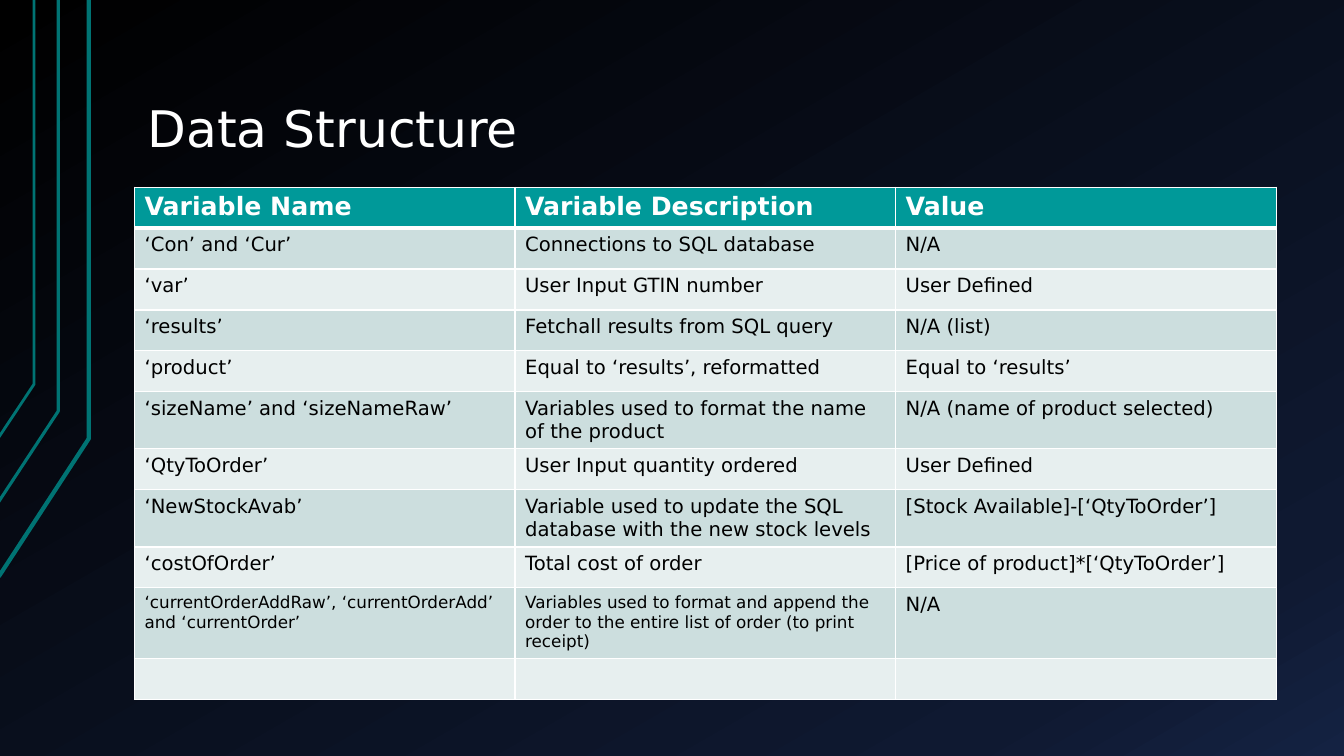
import copy
import dataclasses

import lxml.etree
import pptx
import pptx.dml.color
import pptx.enum.text
import pptx.oxml.ns
import pptx.slide
import pptx.table
import pptx.text.text
import pptx.util

COLORS = {
    "black": "000000",
    "navy": "0F1931",
    "blue": "142242",
    "line": "007373",
    "header": "009999",
    "odd": "CCDEDE",
    "even": "E7EFEF",
    "white": "FFFFFF",
}
FONT = "DejaVu Sans"
HEADINGS = ("Variable Name", "Variable Description", "Value")
ROW_HEIGHT = 1.03
COLUMN_WIDTH = 9.59


@dataclasses.dataclass(frozen=True)
class AngledLine:
    points: tuple[tuple[float, float], ...]
    weight: float


@dataclasses.dataclass(frozen=True)
class Variable:
    name: str
    description: str
    value: str
    text_size: float = 14


ANGLED_LINES = (
    AngledLine(((-0.03, 14.53), (2.24, 11.05), (2.24, 0)), 3),
    AngledLine(((-0.05, 12.67), (1.47, 10.36), (1.47, 0)), 2.25),
    AngledLine(((-0.03, 11.02), (0.86, 9.68), (0.86, 0)), 2),
)

VARIABLES = (
    Variable("‘Con’ and ‘Cur’", "Connections to SQL database", "N/A"),
    Variable("‘var’", "User Input GTIN number", "User Defined"),
    Variable("‘results’", "Fetchall results from SQL query", "N/A (list)"),
    Variable("‘product’", "Equal to ‘results’, reformatted", "Equal to ‘results’"),
    Variable(
        "‘sizeName’ and ‘sizeNameRaw’",
        "Variables used to format the name of the product",
        "N/A (name of product selected)",
    ),
    Variable("‘QtyToOrder’", "User Input quantity ordered", "User Defined"),
    Variable(
        "‘NewStockAvab’",
        "Variable used to update the SQL database with the new stock levels",
        "[Stock Available]-[‘QtyToOrder’]",
    ),
    Variable("‘costOfOrder’", "Total cost of order", "[Price of product]*[‘QtyToOrder’]"),
    Variable(
        "‘currentOrderAddRaw’, ‘currentOrderAdd’ and ‘currentOrder’",
        "Variables used to format and append the order to the entire list of order (to print receipt)",
        "N/A",
        text_size=12,
    ),
    Variable("", "", ""),
)


def rgb(name: str) -> pptx.dml.color.RGBColor:
    return pptx.dml.color.RGBColor.from_string(COLORS[name])


def write_text(
    frame: pptx.text.text.TextFrame,
    text: str,
    *,
    size: float,
    color: str = "black",
    bold: bool = False,
    line_spacing: float | None = None,
) -> None:
    paragraph = frame.paragraphs[0]
    paragraph.line_spacing = line_spacing
    run = paragraph.add_run()
    run.text = text
    run.font.name = FONT
    run.font.size = pptx.util.Pt(size)
    run.font.bold = bold
    run.font.color.rgb = rgb(color)


def paint_background(slide: pptx.slide.Slide) -> None:
    fill = slide.background.fill
    fill.gradient()
    fill.gradient_angle = 300
    stop_list = slide.element.find(".//" + pptx.oxml.ns.qn("a:gsLst"))
    stop_list.append(copy.deepcopy(stop_list[-1]))
    stops = zip(fill.gradient_stops, (0, 0.85, 1), ("black", "navy", "blue"))
    for stop, position, color in stops:
        stop.position = position
        stop.color.rgb = rgb(color)


def draw_angled_line(slide: pptx.slide.Slide, line: AngledLine) -> None:
    points = [(pptx.util.Cm(x), pptx.util.Cm(y)) for x, y in line.points]
    builder = slide.shapes.build_freeform(*points[0])
    builder.add_line_segments(points[1:], close=False)
    shape = builder.convert_to_shape()
    shape.shadow.inherit = False
    shape.fill.background()
    shape.line.color.rgb = rgb(line.color if hasattr(line, "color") else "line")
    shape.line.width = pptx.util.Pt(line.weight)


def draw_title(slide: pptx.slide.Slide, text: str) -> None:
    box = slide.shapes.add_textbox(
        pptx.util.Cm(3.39), pptx.util.Cm(0.76), pptx.util.Cm(28.77), pptx.util.Cm(3.4)
    )
    frame = box.text_frame
    frame.word_wrap = True
    frame.vertical_anchor = pptx.enum.text.MSO_ANCHOR.BOTTOM
    frame.margin_left = frame.margin_right = pptx.util.Cm(0.33)
    frame.margin_top = frame.margin_bottom = pptx.util.Cm(0.17)
    write_text(frame, text, size=36, color="white", line_spacing=0.9)


def style_cell(cell: pptx.table._Cell, fill: str, top: float, bottom: float) -> None:
    properties = cell._tc.get_or_add_tcPr()
    for side, weight in (("L", 1), ("R", 1), ("T", top), ("B", bottom)):
        border = lxml.etree.SubElement(
            properties, pptx.oxml.ns.qn(f"a:ln{side}"), w=str(pptx.util.Pt(weight))
        )
        solid = lxml.etree.SubElement(border, pptx.oxml.ns.qn("a:solidFill"))
        lxml.etree.SubElement(solid, pptx.oxml.ns.qn("a:srgbClr"), val=COLORS["white"])
    cell.fill.solid()
    cell.fill.fore_color.rgb = rgb(fill)


def draw_table(slide: pptx.slide.Slide) -> None:
    row_count = len(VARIABLES) + 1
    table = slide.shapes.add_table(
        row_count,
        len(HEADINGS),
        pptx.util.Cm(3.39),
        pptx.util.Cm(4.72),
        pptx.util.Cm(COLUMN_WIDTH * len(HEADINGS)),
        pptx.util.Cm(ROW_HEIGHT * row_count),
    ).table
    table.horz_banding = False
    for column in table.columns:
        column.width = pptx.util.Cm(COLUMN_WIDTH)
    for row in table.rows:
        row.height = pptx.util.Cm(ROW_HEIGHT)

    for column_index, heading in enumerate(HEADINGS):
        cell = table.cell(0, column_index)
        style_cell(cell, "header", top=1, bottom=3)
        write_text(cell.text_frame, heading, size=18, color="white", bold=True)

    for row_index, variable in enumerate(VARIABLES, start=1):
        entries = (
            (variable.name, variable.text_size),
            (variable.description, variable.text_size),
            (variable.value, 14),
        )
        for column_index, (text, size) in enumerate(entries):
            cell = table.cell(row_index, column_index)
            fill = "odd" if row_index % 2 else "even"
            style_cell(cell, fill, top=3 if row_index == 1 else 1, bottom=1)
            if text:
                write_text(cell.text_frame, text, size=size)


def main() -> None:
    presentation = pptx.Presentation()
    presentation.slide_width = pptx.util.Cm(33.87)
    presentation.slide_height = pptx.util.Cm(19.05)
    slide = presentation.slides.add_slide(presentation.slide_layouts[6])
    paint_background(slide)
    for line in ANGLED_LINES:
        draw_angled_line(slide, line)
    draw_title(slide, "Data Structure")
    draw_table(slide)
    presentation.save("out.pptx")


if __name__ == "__main__":
    main()
